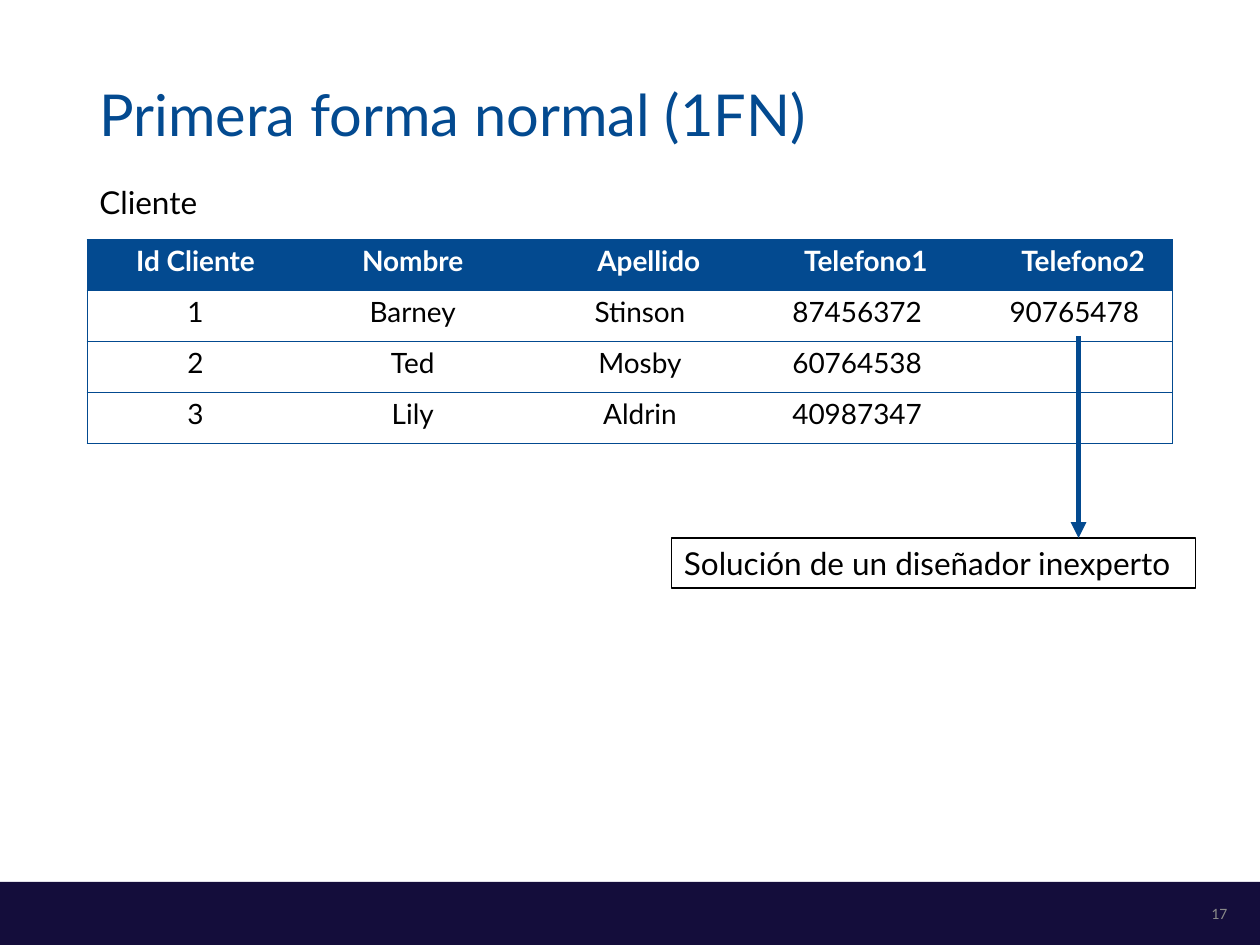
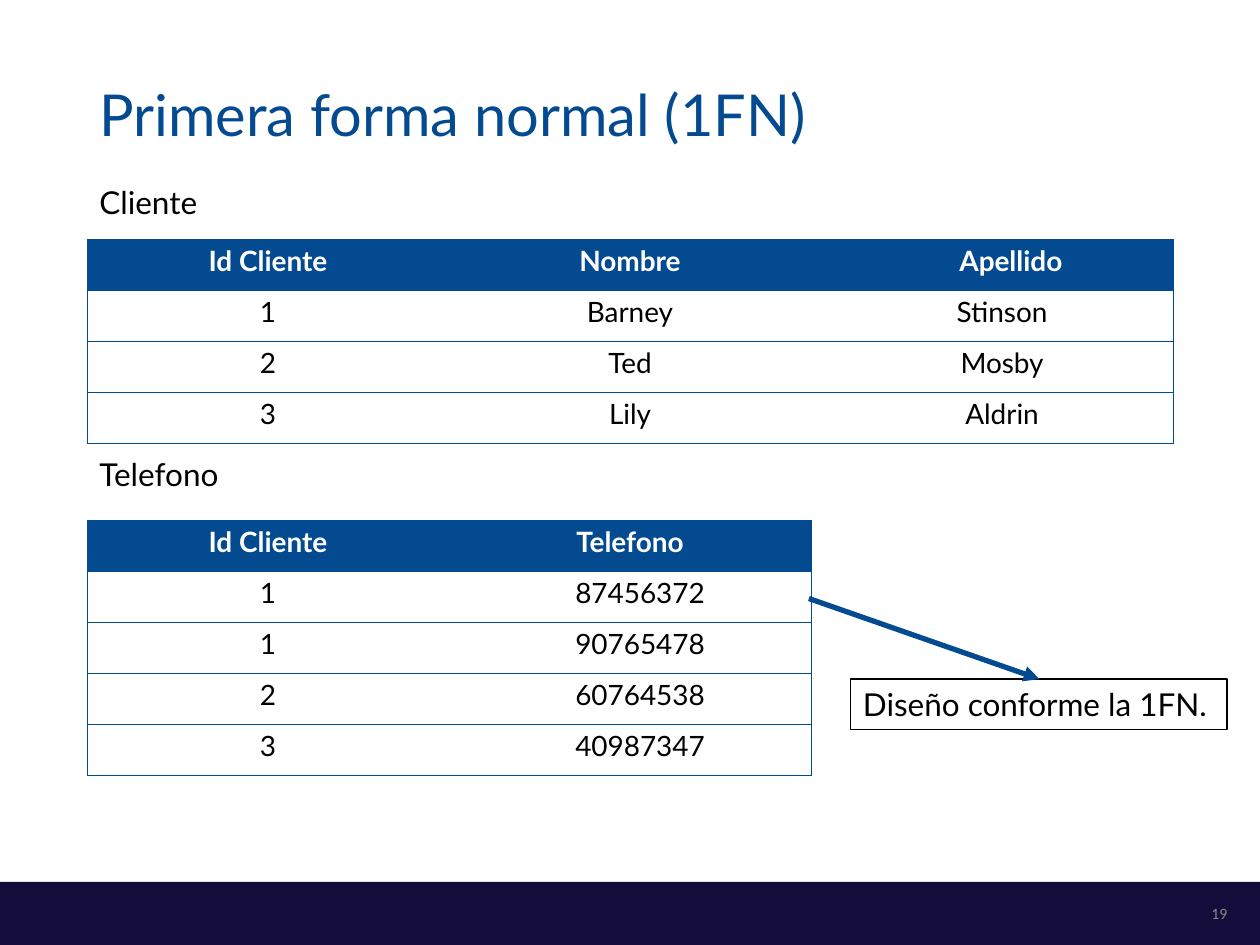
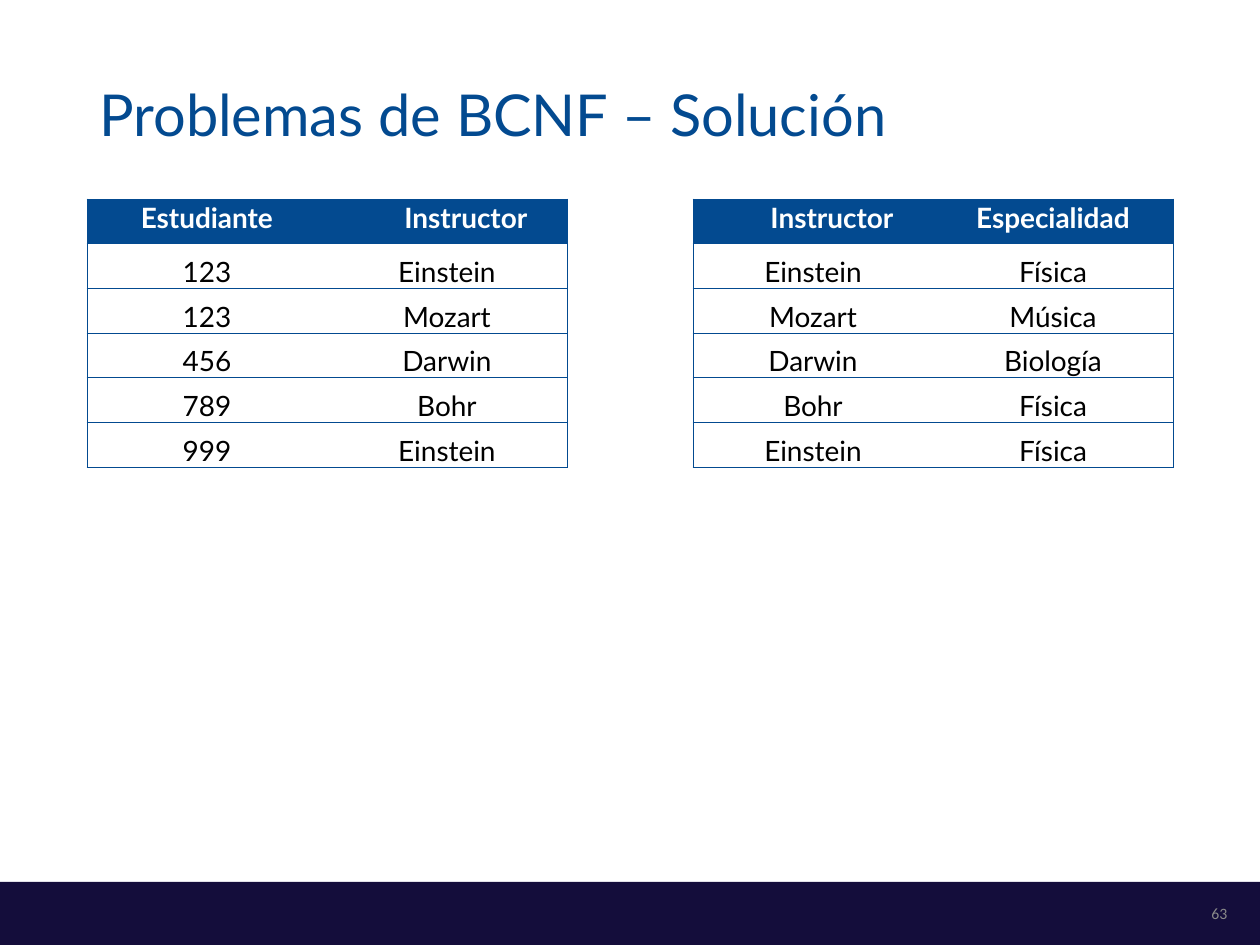
from dataclasses import dataclass

from lxml.etree import SubElement
from pptx import Presentation
from pptx.dml.color import RGBColor
from pptx.enum.shapes import MSO_CONNECTOR, MSO_SHAPE
from pptx.enum.text import MSO_ANCHOR, PP_ALIGN
from pptx.oxml.ns import qn
from pptx.util import Inches, Pt


@dataclass(frozen=True)
class Theme:
    blue: str = "034A90"
    navy: str = "140D3B"
    gray: str = "898989"
    black: str = "000000"
    white: str = "FFFFFF"
    font: str = "Lato"
    number_font: str = "Calibri"
    title: float = 33
    body: float = 18
    cell: float = 16
    number: float = 9
    cell_spacing: float = 14.4
    border: float = 0.5


THEME = Theme()
LEFT, WIDTH = 0.69, 8.62
ROW, COMPACT_ROW = 0.405, 0.355
HALF_WIDTH = 3.81

# A column: heading, heading indent, values, value indent
CLIENT_COLUMNS = [
    ("Id Cliente", 0, ["1", "2", "3"], 0),
    ("Nombre", 0, ["Barney", "Ted", "Lily"], 0),
    ("Apellido", 0.3, ["Stinson", "Mosby", "Aldrin"], 0.16),
]
TWO_PHONE_COLUMNS = CLIENT_COLUMNS + [
    ("Telefono1", 0.3, ["87456372", "60764538", "40987347"], 0.16),
    ("Telefono2", 0.3, ["90765478", "", ""], 0.16),
]
PHONE_COLUMNS = [
    ("Id Cliente", 0, ["1", "1", "2", "3"], 0),
    ("Telefono", 0, ["87456372", "90765478", "60764538", "40987347"], 0.16),
]
STUDENT_COLUMNS = [
    ("Estudiante", 0, ["123", "123", "456", "789", "999"], 0),
    ("Instructor", 0.3, ["Einstein", "Mozart", "Darwin", "Bohr", "Einstein"], 0),
]
SPECIALTY_COLUMNS = [
    ("Instructor", 0.3, ["Einstein", "Mozart", "Darwin", "Bohr", "Einstein"], 0),
    ("Especialidad", 0, ["Física", "Música", "Biología", "Física", "Física"], 0),
]

# Tables: columns, left, top, width, compact. Callouts: text, box, arrow start, arrow end
SLIDES = [
    {
        "title": "Primera forma normal (1FN)",
        "number": "17",
        "labels": [("Cliente", 1.44)],
        "tables": [(TWO_PHONE_COLUMNS, LEFT, 1.9, WIDTH, False)],
        "callouts": [("Solución de un diseñador inexperto",
                      (5.33, 4.27, 4.16, 0.4), (8.56, 2.67), (8.56, 4.27))],
    },
    {
        "title": "Primera forma normal (1FN)",
        "number": "19",
        "labels": [("Cliente", 1.44), ("Telefono", 3.6)],
        "tables": [(CLIENT_COLUMNS, LEFT, 1.9, WIDTH, False),
                   (PHONE_COLUMNS, LEFT, 4.13, WIDTH * 2 / 3, False)],
        "callouts": [("Diseño conforme la 1FN.",
                      (6.75, 5.39, 2.99, 0.4), (6.42, 4.75), (8.25, 5.39))],
    },
    {
        "title": "Problemas de BCNF – Solución",
        "number": "63",
        "labels": [],
        "tables": [(STUDENT_COLUMNS, LEFT, 1.58, HALF_WIDTH, True),
                   (SPECIALTY_COLUMNS, LEFT + WIDTH - HALF_WIDTH, 1.58, HALF_WIDTH, True)],
        "callouts": [],
    },
]


def rgb(color):
    return RGBColor.from_string(color)


def inches(values):
    return [Inches(v) for v in values]


def set_text(tf, text, size, color, font=THEME.font, align=PP_ALIGN.LEFT, bold=False):
    tf.text = text
    p = tf.paragraphs[0]
    p.alignment = align
    for r in p.runs:
        r.font.name, r.font.size, r.font.bold = font, Pt(size), bold
        r.font.color.rgb = rgb(color)
    return p


def add_text(s, box, text, size, color, anchor=MSO_ANCHOR.TOP, **style):
    tf = s.shapes.add_textbox(*inches(box)).text_frame
    tf.word_wrap = True
    tf.vertical_anchor = anchor
    return set_text(tf, text, size, color, **style)


def add_rect(s, box, fill):
    sp = s.shapes.add_shape(MSO_SHAPE.RECTANGLE, *inches(box))
    sp.shadow.inherit = False
    sp.fill.solid()
    sp.fill.fore_color.rgb = rgb(fill)
    sp.line.fill.background()
    return sp


def set_borders(cell, visible_sides):
    """Rule the named sides (L, R, T, B) and clear the others."""
    tc_pr = cell._tc.get_or_add_tcPr()
    for side in "LRTB":
        ln = SubElement(tc_pr, qn(f"a:ln{side}"), w=str(Pt(THEME.border)))
        if side in visible_sides:
            SubElement(SubElement(ln, qn("a:solidFill")), qn("a:srgbClr"), val=THEME.blue)
        else:
            SubElement(ln, qn("a:noFill"))


def fill_cell(cell, text, indent, heading, compact):
    tight = compact and not heading
    side, top = (0.01, 0.01) if tight else (0.07, 0)
    cell.margin_left = cell.margin_right = Inches(side)
    cell.margin_top, cell.margin_bottom = Inches(top), 0
    cell.vertical_anchor = MSO_ANCHOR.BOTTOM if tight else MSO_ANCHOR.MIDDLE
    if heading:
        cell.fill.solid()
        cell.fill.fore_color.rgb = rgb(THEME.blue)
    else:
        cell.fill.background()
    p = set_text(cell.text_frame, text, THEME.cell, THEME.white if heading else THEME.black,
                 align=PP_ALIGN.CENTER, bold=heading)
    if not tight:
        p.line_spacing = Pt(THEME.cell_spacing)
    if indent:
        p_pr = p._p.get_or_add_pPr()
        p_pr.set("marL", str(Inches(indent)))
        p_pr.set("indent", "0")


def add_grid(s, columns, left, top, width, compact):
    n_rows, n_cols = len(columns[0][2]) + 1, len(columns)
    row_height = COMPACT_ROW if compact else ROW
    box = (left, top, width, n_rows * row_height)
    table = s.shapes.add_table(n_rows, n_cols, *inches(box)).table
    table.first_row = table.horz_banding = False
    for row in table.rows:
        row.height = Inches(row_height)
    for c, (heading, heading_indent, values, value_indent) in enumerate(columns):
        table.columns[c].width = Inches(width / n_cols)
        sides = "TB" + ("L" if c == 0 else "") + ("R" if c == n_cols - 1 else "")
        for r, text in enumerate([heading] + values):
            cell = table.cell(r, c)
            set_borders(cell, sides)
            fill_cell(cell, text, value_indent if r else heading_indent, r == 0, compact)


def add_callout(s, text, box, start, end):
    sp = add_rect(s, box, THEME.white)
    sp.line.color.rgb = rgb(THEME.black)
    sp.line.width = Pt(1)
    sp.text_frame.word_wrap = True
    sp.text_frame.vertical_anchor = MSO_ANCHOR.TOP
    set_text(sp.text_frame, text, THEME.body, THEME.black)

    arrow = s.shapes.add_connector(MSO_CONNECTOR.STRAIGHT, *inches(start + end))
    arrow.line.color.rgb = rgb(THEME.blue)
    arrow.line.width = Pt(3)
    SubElement(arrow.line._get_or_add_ln(), qn("a:tailEnd"), type="triangle")
    SubElement(arrow._element.spPr, qn("a:effectLst"))


def add_frame(s, title, number):
    """Add the band, title and page number that every slide shares."""
    add_rect(s, (0, 7, 10, 0.5), THEME.navy)
    add_text(s, (LEFT, 0.4, WIDTH, 1), title, THEME.title, THEME.blue, MSO_ANCHOR.MIDDLE)
    add_text(s, (8.56, 7.05, 1.28, 0.4), number, THEME.number, THEME.gray,
             MSO_ANCHOR.MIDDLE, font=THEME.number_font, align=PP_ALIGN.RIGHT)


def main():
    prs = Presentation()
    prs.slide_width, prs.slide_height = Inches(10), Inches(7.5)
    for content in SLIDES:
        s = prs.slides.add_slide(prs.slide_layouts[6])
        add_frame(s, content["title"], content["number"])
        for text, top in content["labels"]:
            p = add_text(s, (LEFT, top, WIDTH, 0.4), text, THEME.body, THEME.black)
            p.line_spacing = 0.9
        for table in content["tables"]:
            add_grid(s, *table)
        for callout in content["callouts"]:
            add_callout(s, *callout)
    prs.save("out.pptx")


if __name__ == "__main__":
    main()
